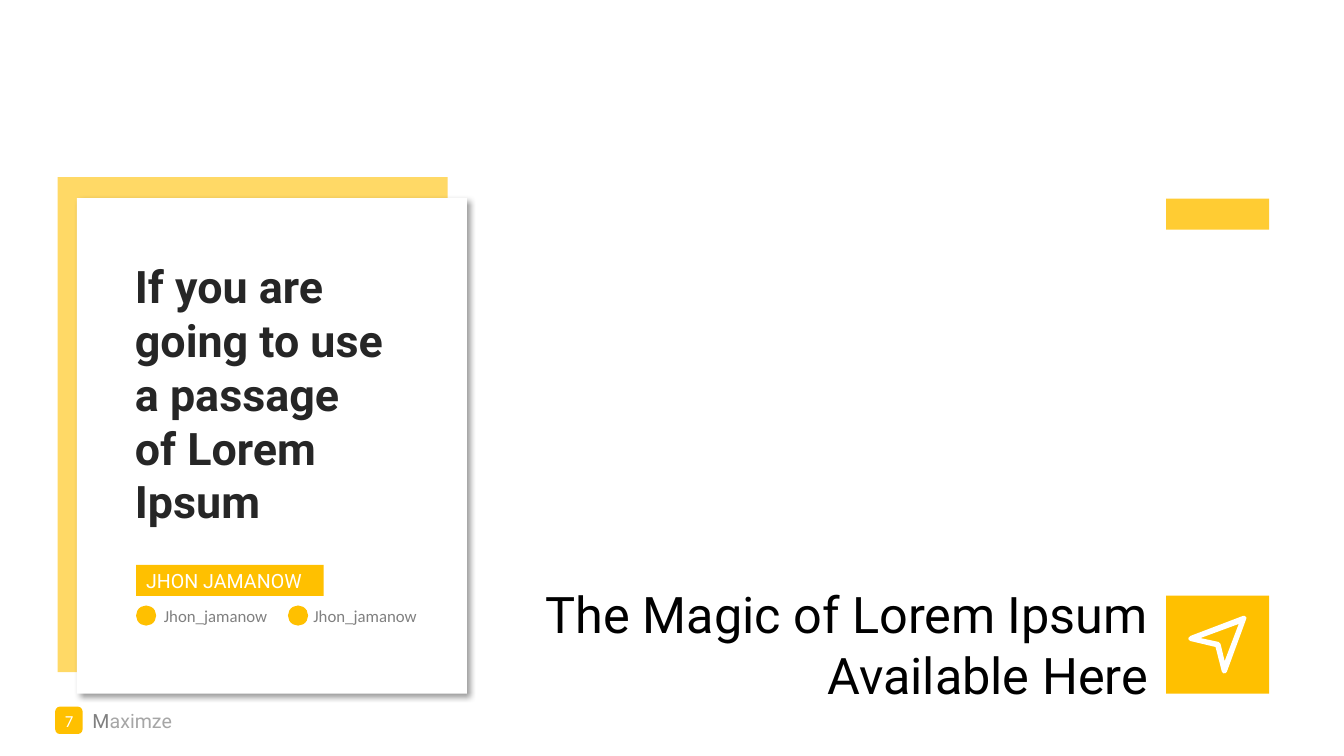
import pptx
import pptx.util
import pptx.dml.color
import pptx.enum.shapes
import pptx.enum.text
import pptx.oxml
import pptx.oxml.ns

Pt = pptx.util.Pt
SHAPE = pptx.enum.shapes.MSO_SHAPE
ALIGN = pptx.enum.text.PP_ALIGN
ANCHOR = pptx.enum.text.MSO_ANCHOR
AMBER = "FFC000"
WHITE = "FFFFFF"
GREY = "808080"
NS = pptx.oxml.ns.nsdecls("a")


def color(hex_value):
    return pptx.dml.color.RGBColor.from_string(hex_value)


def paint(s, fill, opacity=100):
    s.shadow.inherit = False
    s.fill.solid()
    s.fill.fore_color.rgb = color(fill)
    s.line.fill.background()
    if opacity < 100:
        clr = s.fill._xPr.find(".//" + pptx.oxml.ns.qn("a:srgbClr"))
        clr.append(pptx.oxml.parse_xml(f'<a:alpha {NS} val="{opacity * 1000}"/>'))


def add_block(slide, kind, box, fill, opacity=100):
    s = slide.shapes.add_shape(kind, *map(Pt, box))
    paint(s, fill, opacity)
    return s


def add_drop_shadow(s):
    effects = s._element.spPr.find(pptx.oxml.ns.qn("a:effectLst"))
    effects.append(pptx.oxml.parse_xml(
        f'<a:outerShdw {NS} blurRad="{Pt(4)}" dist="{Pt(3)}" dir="2700000" algn="tl" rotWithShape="0">'
        '<a:srgbClr val="000000"><a:alpha val="40000"/></a:srgbClr></a:outerShdw>'))


def write(s, runs, font, align=ALIGN.LEFT, anchor=ANCHOR.TOP, right=7.2):
    tf = s.text_frame
    frame = {"word_wrap": True, "vertical_anchor": anchor, "margin_left": Pt(7.2),
             "margin_right": Pt(right), "margin_top": Pt(3.6), "margin_bottom": Pt(3.6)}
    for name, value in frame.items():
        setattr(tf, name, value)
    p = tf.paragraphs[0]
    p.alignment = align
    for text, hex_value in runs:
        r = p.add_run()
        r.text = text
        for name, value in font.items():
            setattr(r.font, name, value)
        r.font.color.rgb = color(hex_value)


def add_label(slide, box, runs, font, **layout):
    s = slide.shapes.add_textbox(*map(Pt, box))
    write(s, runs, font, **layout)


def add_outline(slide, contours, fill):
    builder = None
    for contour in contours:
        points = [(Pt(x), Pt(y)) for x, y in contour]
        if builder is None:
            builder = slide.shapes.build_freeform(*points[0], scale=1.0)
        else:
            builder.move_to(*points[0])
        builder.add_line_segments(points[1:], close=True)
    paint(builder.convert_to_shape(), fill)


def add_handle(slide, icon_left, text_left):
    add_block(slide, SHAPE.OVAL, (icon_left, 432.5, 14.4, 14.4), AMBER)
    add_label(slide, (text_left, 428.8, 92, 24.5), [("Jhon_jamanow", GREY)],
              {"name": "Calibri", "size": Pt(12)})


def main():
    prs = pptx.Presentation()
    prs.slide_width, prs.slide_height = Pt(960), Pt(540)
    slide = prs.slides.add_slide(prs.slide_layouts[6])

    add_block(slide, SHAPE.ROUNDED_RECTANGLE, (39.5, 504.8, 19.5, 19.5), AMBER)
    add_label(slide, (59, 502.5, 86.5, 24.5), [("M", GREY), ("aximze", "A6A6A6")],
              {"name": "Roboto", "size": Pt(14)})
    add_block(slide, SHAPE.RECTANGLE, (365.8, 413.3, 594.2, 82), WHITE, 60)
    add_label(slide, (36.7, 504, 25.2, 21.6), [("7", WHITE)],
              {"name": "Calibri", "size": Pt(12)}, align=ALIGN.CENTER)

    add_block(slide, SHAPE.RECTANGLE, (41.2, 126.5, 278.6, 353.7), AMBER, 60)
    card = add_block(slide, SHAPE.RECTANGLE, (55, 141.6, 278.6, 354), WHITE)
    add_drop_shadow(card)
    add_label(slide, (89.3, 181.5, 201.6, 200),
              [("If you are going to use a passage of Lorem Ipsum", "262626")],
              {"name": "Roboto", "size": Pt(32), "bold": True}, right=13)
    name_tag = add_block(slide, SHAPE.RECTANGLE, (97.2, 403.4, 134, 22.3), AMBER)
    write(name_tag, [("JHON JAMANOW", WHITE)],
          {"name": "Roboto", "size": Pt(14)}, anchor=ANCHOR.MIDDLE)
    for icon_left, text_left in ((97.2, 110), (205.7, 216.8)):
        add_handle(slide, icon_left, text_left)

    add_block(slide, SHAPE.RECTANGLE, (833, 425.5, 73.5, 70), AMBER)
    arrow_edge = [(890, 442.8), (876.4, 479.8), (875.6, 480.8), (874, 481), (872.8, 479.8),
                  (868.3, 462.2), (850.3, 457.9), (849.1, 457), (848.9, 455.8), (850.3, 454.3),
                  (887.8, 440), (889.2, 440), (890.4, 441.2)]
    arrow_hole = [(857.5, 455.8), (870.5, 458.6), (871.9, 460.1), (874.8, 472.3), (884.9, 445.7)]
    add_outline(slide, [arrow_edge, arrow_hole], WHITE)
    add_label(slide, (352.8, 413.3, 474.5, 94.3),
              [("The Magic of Lorem Ipsum Available Here", "000000")],
              {"name": "Roboto", "size": Pt(36)}, align=ALIGN.RIGHT)
    add_block(slide, SHAPE.RECTANGLE, (833, 141.8, 73.5, 22.3), AMBER, 80)

    prs.save("out.pptx")


if __name__ == "__main__":
    main()
